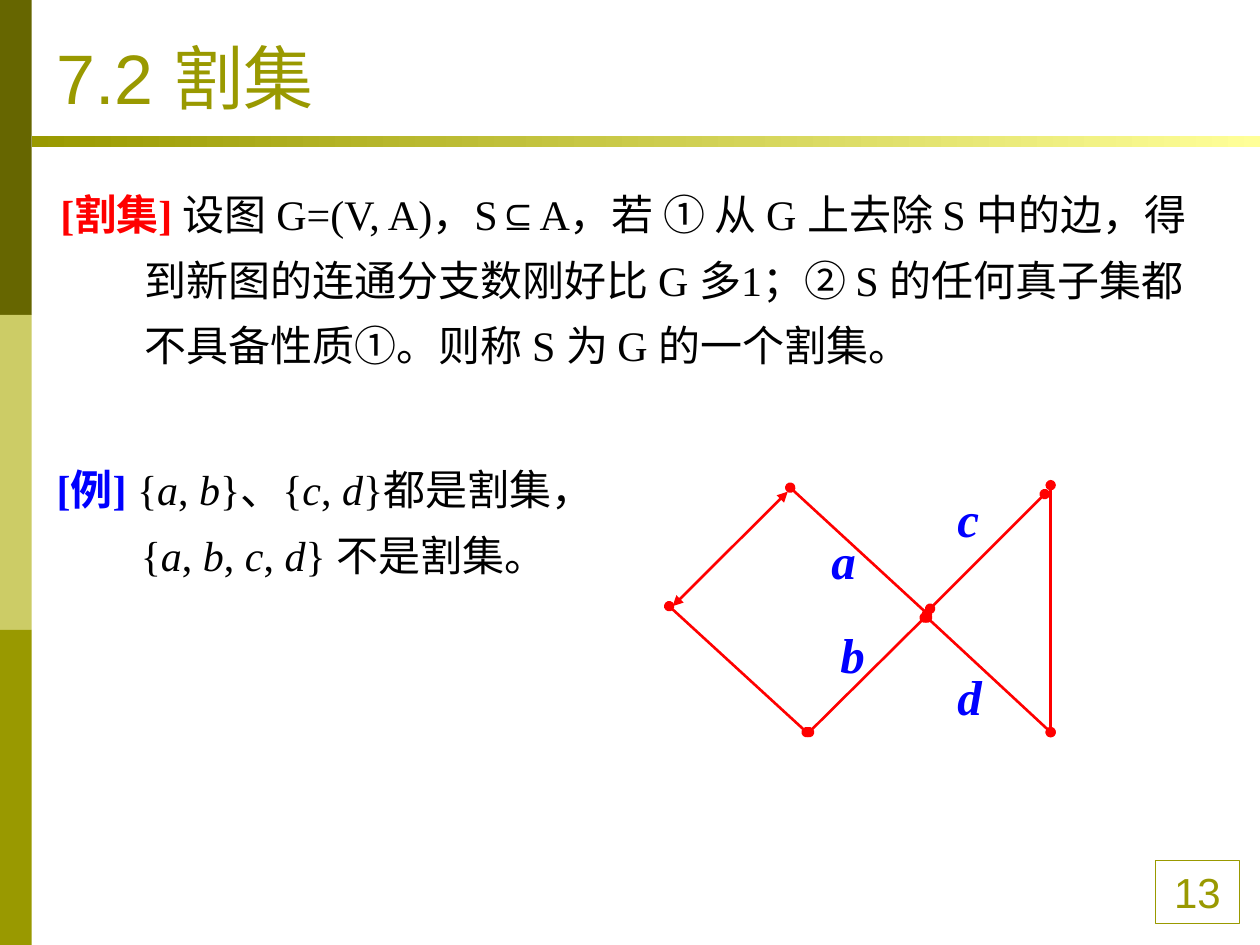
import pptx
import pptx.util
import pptx.dml.color
import pptx.enum.shapes
import pptx.enum.text
import pptx.oxml.ns
import lxml.etree

Cm, Pt = pptx.util.Cm, pptx.util.Pt
RGBColor = pptx.dml.color.RGBColor
ANCHOR = pptx.enum.text.MSO_ANCHOR
ALIGN = pptx.enum.text.PP_ALIGN
RECTANGLE = pptx.enum.shapes.MSO_SHAPE.RECTANGLE
STRAIGHT = pptx.enum.shapes.MSO_CONNECTOR.STRAIGHT
qn = pptx.oxml.ns.qn

DARK_OLIVE = RGBColor(0x66, 0x66, 0x00)
PALE_OLIVE = RGBColor(0xCC, 0xCC, 0x66)
OLIVE = RGBColor(0x99, 0x99, 0x00)
PALE_YELLOW = RGBColor(0xFF, 0xFF, 0x99)
RED = RGBColor(0xFF, 0x00, 0x00)
BLUE = RGBColor(0x00, 0x00, 0xFF)
BLACK = RGBColor(0x00, 0x00, 0x00)
SERIF, SANS = "Times New Roman", "Arial"

deck = pptx.Presentation()
deck.slide_width, deck.slide_height = Cm(25.4), Cm(19.05)
slide = deck.slides.add_slide(deck.slide_layouts[6])


def add_run(paragraph, text, size=24, font=SERIF, color=BLACK, bold=False, italic=False):
    run = paragraph.add_run()
    run.text = text
    run.font.size, run.font.name = Pt(size), font
    run.font.bold, run.font.italic = bold, italic
    run.font.color.rgb = color


def add_rectangle(left, top, width, height, fill=None):
    box = slide.shapes.add_shape(RECTANGLE, Cm(left), Cm(top), Cm(width), Cm(height))
    box.shadow.inherit = False
    box.line.fill.background()
    if fill is None:
        box.fill.background()
    else:
        box.fill.solid()
        box.fill.fore_color.rgb = fill
    return box


# Side bar in three equal parts
for row, shade in enumerate([DARK_OLIVE, PALE_OLIVE, OLIVE]):
    add_rectangle(0, 6.35 * row, 0.64, 6.35, shade)

# Page number
page_number = add_rectangle(23.29, 17.35, 1.7, 1.27)
page_number.line.color.rgb = OLIVE
page_number.line.width = Pt(0.75)
page_number.text_frame.vertical_anchor = ANCHOR.MIDDLE
page_number.text_frame.paragraphs[0].alignment = ALIGN.CENTER
add_run(page_number.text_frame.paragraphs[0], "13", font=SANS, color=OLIVE)

# Rule under the title
title_rule = add_rectangle(0.64, 2.74, 24.76, 0.23)
title_rule.fill.gradient()
title_rule.fill.gradient_angle = 0
for stop, shade in zip(title_rule.fill.gradient_stops, [OLIVE, PALE_YELLOW]):
    stop.color.rgb = shade

# Title
title = slide.shapes.add_textbox(Cm(0.89), Cm(0.53), Cm(22.86), Cm(1.98)).text_frame
title.word_wrap = True
title.vertical_anchor = ANCHOR.BOTTOM
add_run(title.paragraphs[0], "7.2 割集", size=40, font=SANS, color=OLIVE)

# Definition and example
definition = slide.shapes.add_textbox(Cm(0.97), Cm(3.38), Cm(23.6), Cm(4.22)).text_frame
example = slide.shapes.add_textbox(Cm(0.89), Cm(8.92), Cm(12.6), Cm(3.61)).text_frame
claim, counterclaim = example.paragraphs[0], example.add_paragraph()
for paragraph, indent in [(definition.paragraphs[0], -1.7), (claim, -1.7), (counterclaim, 0)]:
    paragraph.line_spacing = 1.3
    properties = paragraph._p.get_or_add_pPr()
    properties.set("marL", str(Cm(1.7)))
    properties.set("indent", str(Cm(indent)))
definition.word_wrap = example.word_wrap = True

add_run(definition.paragraphs[0], "[割集] ", color=RED, bold=True)
add_run(definition.paragraphs[0], "设图 G=(V, A)，S")
add_run(definition.paragraphs[0], "⊆", font=SANS)
add_run(definition.paragraphs[0],
        "A，若 ① 从 G 上去除 S 中的边，得到新图的连通分支数刚好比 G 多1；"
        "② S 的任何真子集都不具备性质①。则称 S 为 G 的一个割集。")

add_run(claim, "[例] ", color=BLUE, bold=True)
for paragraph, pieces in [
    (claim, ["{", "a", ", ", "b", "}、{", "c", ", ", "d", "}都是割集，"]),
    (counterclaim, ["{", "a", ", ", "b", ", ", "c", ", ", "d", "} 不是割集。"]),
]:
    for piece in pieces:
        add_run(paragraph, piece, italic=piece in "abcd")

# Graph edges: start, end and the mark at both ends
edges = [
    (15.88, 9.91, 13.56, 12.22, "triangle"),
    (15.93, 9.83, 18.69, 12.37, "oval"),
    (18.64, 12.45, 16.31, 14.76, "oval"),
    (13.49, 12.22, 16.26, 14.76, "oval"),
    (21.06, 9.96, 18.75, 12.27, "oval"),
    (18.69, 12.45, 21.18, 14.76, "oval"),
    (21.18, 9.78, 21.18, 14.76, "oval"),
]
for x1, y1, x2, y2, mark in edges:
    edge = slide.shapes.add_connector(STRAIGHT, Cm(x1), Cm(y1), Cm(x2), Cm(y2))
    edge.line.color.rgb = RED
    edge.line.width = Pt(1.5)
    outline = edge.line._get_or_add_ln()
    for end in ("a:headEnd", "a:tailEnd"):
        lxml.etree.SubElement(outline, qn(end), type=mark)
    lxml.etree.SubElement(edge._element.spPr, qn("a:effectLst"))

# Edge labels
for letter, left, top in [("d", 19.05, 13.31), ("a", 16.51, 10.57),
                          ("b", 16.69, 12.47), ("c", 19.05, 9.73)]:
    label = slide.shapes.add_textbox(Cm(left), Cm(top), Cm(0.99), Cm(1.45)).text_frame
    label.word_wrap = False
    label.auto_size = pptx.enum.text.MSO_AUTO_SIZE.SHAPE_TO_FIT_TEXT
    label.paragraphs[0].space_before = Pt(7)
    add_run(label.paragraphs[0], letter, size=28, color=BLUE, bold=True, italic=True)

deck.save("out.pptx")
